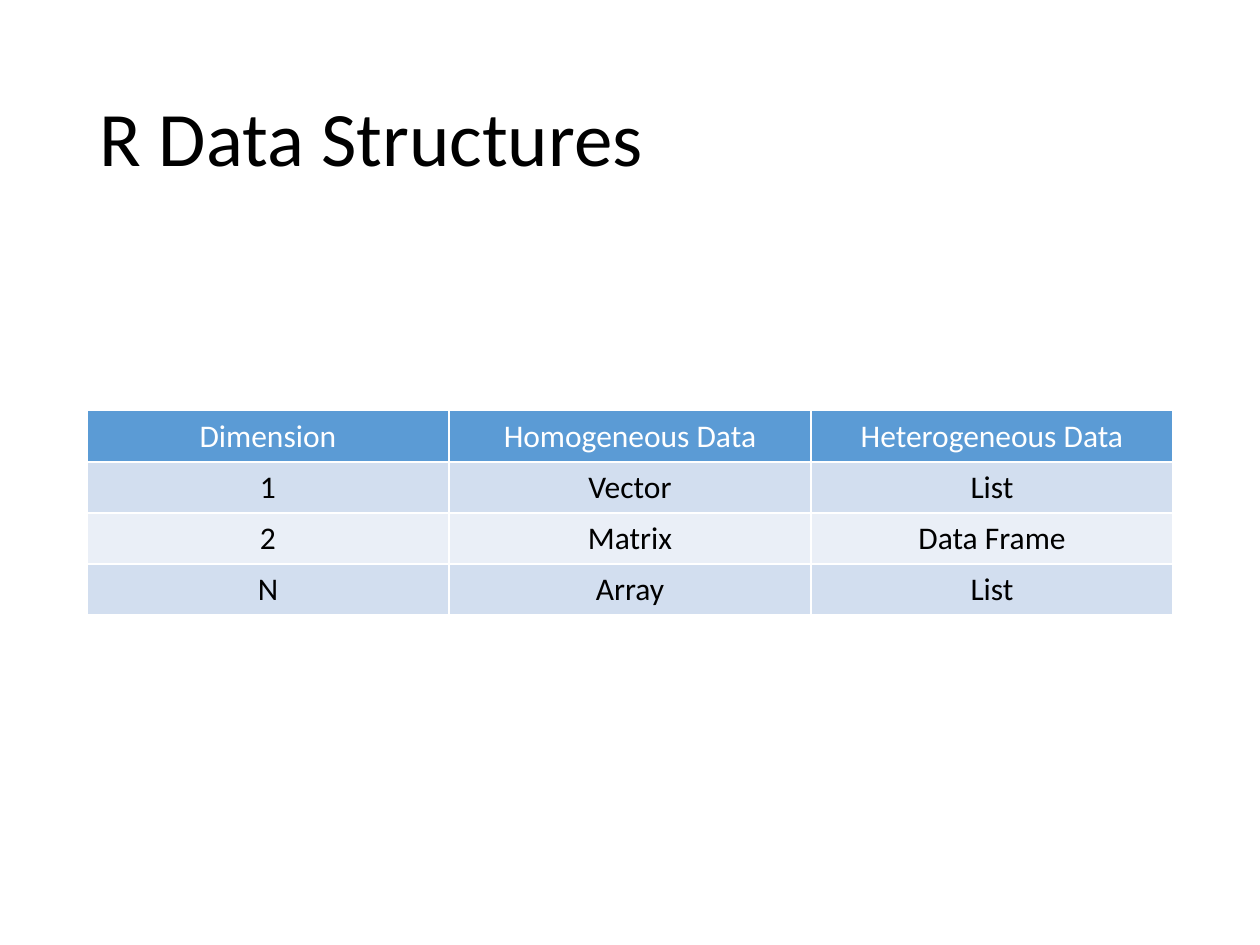
"""Build a slide with a table of R data structures by dimension."""
from pptx import Presentation
from pptx.dml.color import RGBColor
from pptx.enum.text import MSO_ANCHOR, PP_ALIGN
from pptx.util import Inches, Pt

LEFT, CENTER = PP_ALIGN.LEFT, PP_ALIGN.CENTER
MIDDLE = MSO_ANCHOR.MIDDLE
BLACK = RGBColor(0x00, 0x00, 0x00)
WHITE = RGBColor(0xFF, 0xFF, 0xFF)
HEADER_BLUE = RGBColor(0x5B, 0x9B, 0xD5)
BAND_DARK = RGBColor(0xD2, 0xDE, 0xEF)
BAND_LIGHT = RGBColor(0xEA, 0xEF, 0xF7)
FONT = "Calibri"
ROWS = [
    ("Dimension", "Homogeneous Data", "Heterogeneous Data"),
    ("1", "Vector", "List"),
    ("2", "Matrix", "Data Frame"),
    ("N", "Array", "List"),
]
FILLS = [HEADER_BLUE, BAND_DARK, BAND_LIGHT, BAND_DARK]


def add_text(p, text, size, color, align):
    p.alignment = align
    r = p.add_run()
    r.text = text
    r.font.name = FONT
    r.font.size = Pt(size)
    r.font.bold = False
    r.font.color.rgb = color


prs = Presentation()
prs.slide_width, prs.slide_height = Inches(10), Inches(7.5)
s = prs.slides.add_slide(prs.slide_layouts[5])

title = s.shapes.title
title.left, title.top = Inches(0.69), Inches(0.4)
title.width, title.height = Inches(8.62), Inches(1.45)
tf = title.text_frame
tf.vertical_anchor = MIDDLE
p = tf.paragraphs[0]
p.line_spacing = 0.9
add_text(p, "R Data Structures", 44, BLACK, LEFT)

table = s.shapes.add_table(
    len(ROWS), len(ROWS[0]), Inches(0.69), Inches(3.26), Inches(8.62), Inches(1.62)
).table
for i, (row, fill) in enumerate(zip(ROWS, FILLS)):
    for j, text in enumerate(row):
        cell = table.cell(i, j)
        cell.fill.solid()
        cell.fill.fore_color.rgb = fill
        color = WHITE if i == 0 else BLACK
        add_text(cell.text_frame.paragraphs[0], text, 18, color, CENTER)

prs.save("out.pptx")
